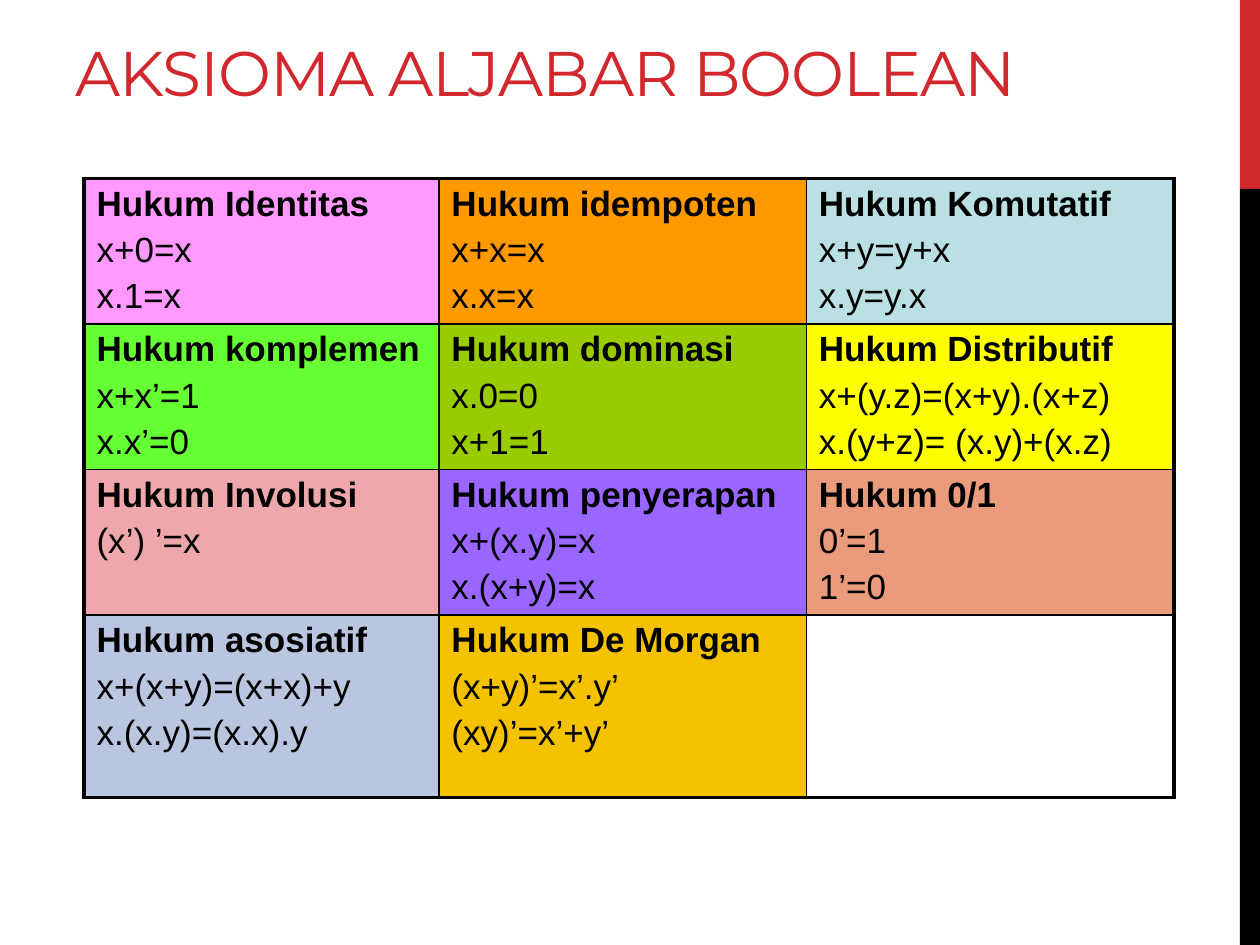
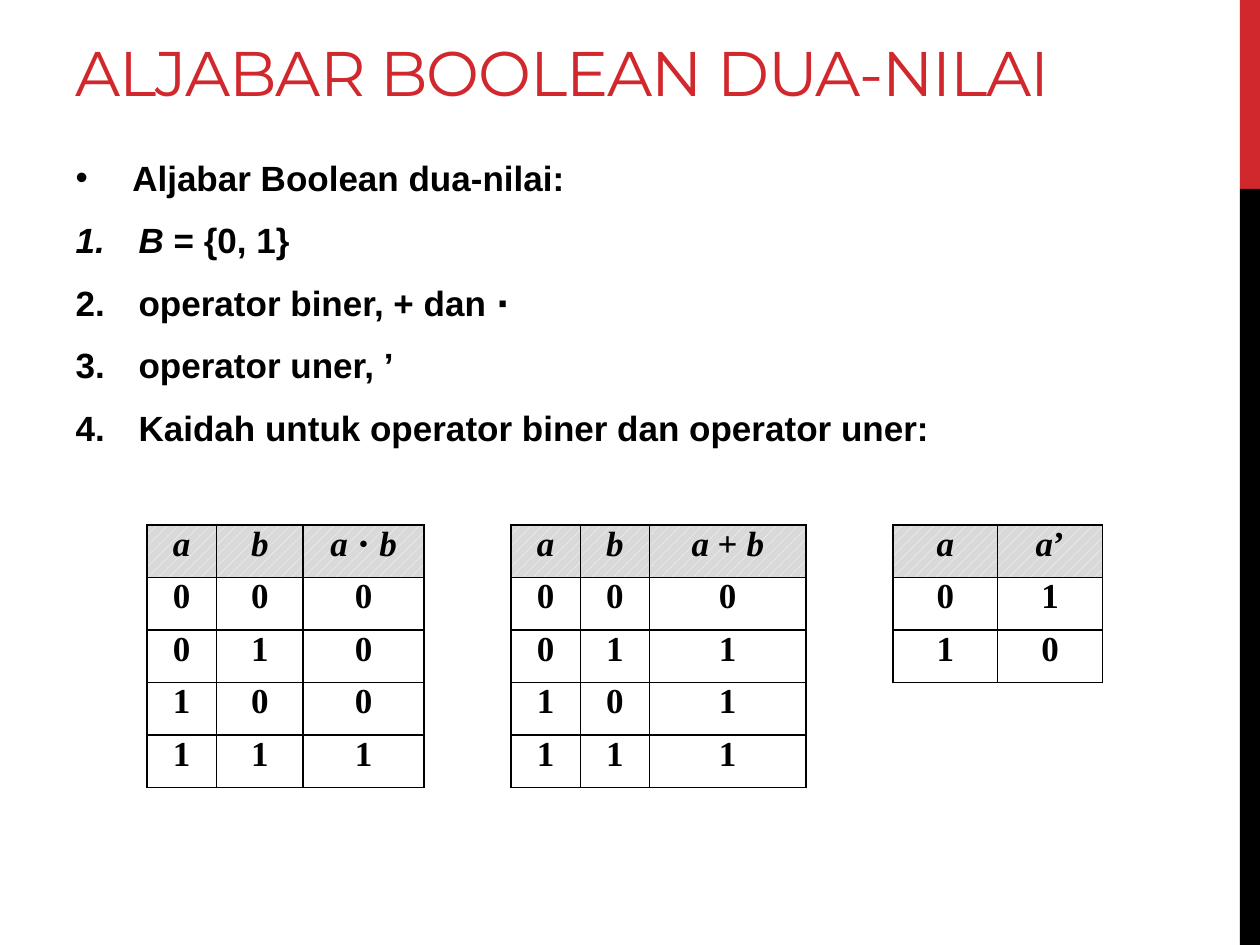
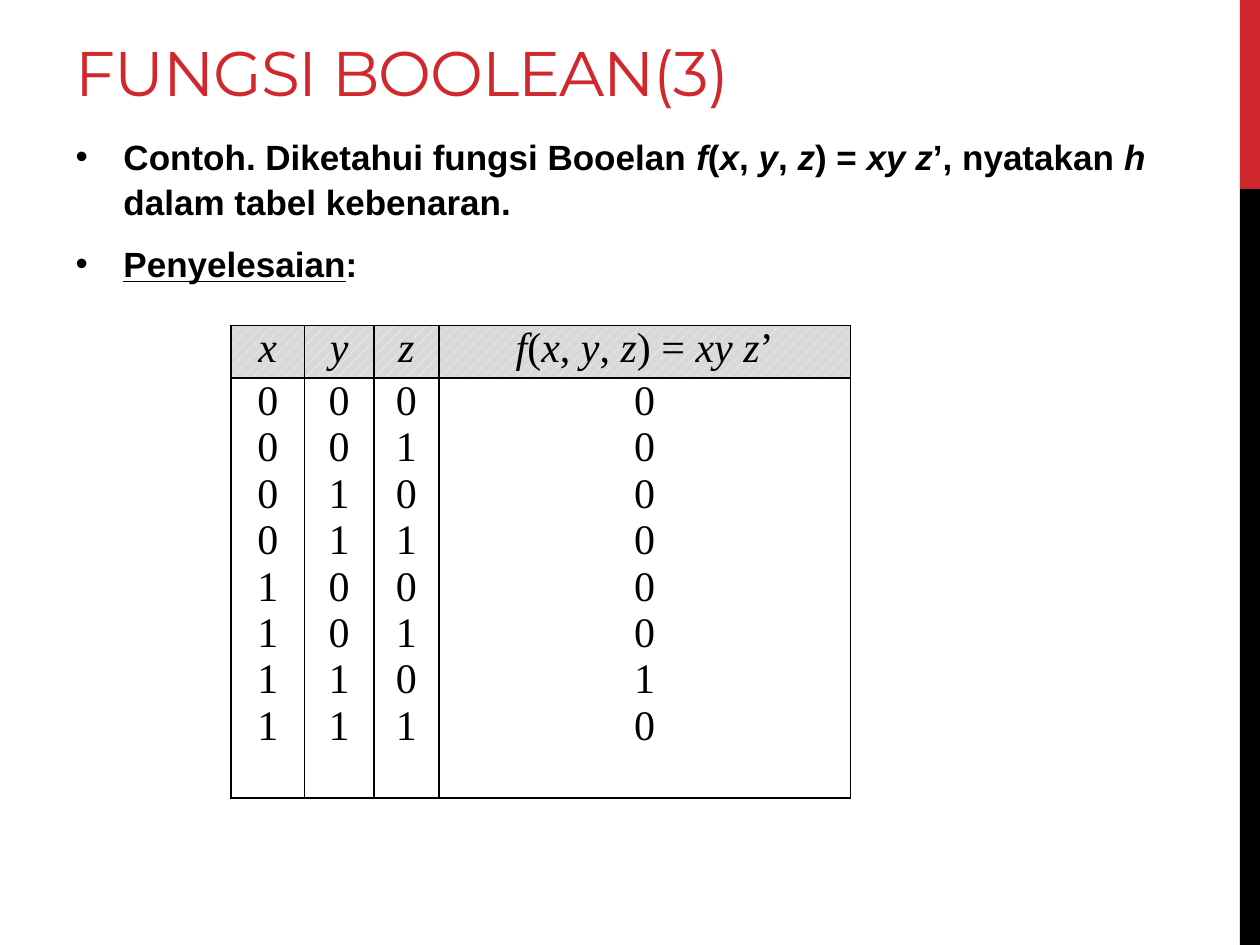
import itertools

import lxml.etree
import pptx
import pptx.dml.color
import pptx.enum.dml
import pptx.enum.shapes
import pptx.enum.text
import pptx.oxml.ns
import pptx.util

RED, BLACK, WHITE, GREY = "D1282E", "000000", "FFFFFF", "D9D9D9"
TITLE_FONT, BODY_FONT, MATH_FONT = "Montserrat", "Arial", "Times New Roman"
TITLE_ONLY, TITLE_AND_BODY = 5, 1
CENTER = pptx.enum.text.PP_ALIGN.CENTER


def color(hex_string):
    return pptx.dml.color.RGBColor.from_string(hex_string)


def grid(units):
    """The slide is 60 columns by 45 rows of square grid units."""
    return pptx.util.Emu(round(units * pptx.util.Inches(10) / 60))


def add_child(parent, tag, **attributes):
    return lxml.etree.SubElement(parent, pptx.oxml.ns.qn(tag), attributes)


class Deck:
    def __init__(self):
        self.presentation = pptx.Presentation()
        self.presentation.slide_width = grid(60)
        self.presentation.slide_height = grid(45)
        self.slide = None

    def new_slide(self, layout, title, title_width):
        first = self.slide is None
        self.slide = self.presentation.slides.add_slide(
            self.presentation.slide_layouts[layout])
        if first:
            self.master_band(0, 9, RED)
            self.master_band(9, 36, BLACK)
        shape = self.slide.shapes.title
        self.place(shape, 3, 1, title_width, 4.5)
        shape.text_frame.vertical_anchor = pptx.enum.text.MSO_ANCHOR.BOTTOM
        paragraph = shape.text_frame.paragraphs[0]
        paragraph.alignment = pptx.enum.text.PP_ALIGN.LEFT
        self.add_runs(paragraph, title, TITLE_FONT, 36, RED)
        for run in paragraph.runs:
            run.font._element.set("spc", "-60")

    def master_band(self, top, height, fill):
        """Draw a band at the right edge and move it to the slide master."""
        shape = self.slide.shapes.add_shape(
            pptx.enum.shapes.MSO_SHAPE.RECTANGLE,
            grid(59.04), grid(top), grid(0.96), grid(height))
        shape.shadow.inherit = False
        shape.fill.solid()
        shape.fill.fore_color.rgb = color(fill)
        shape.line.fill.background()
        self.presentation.slide_master.shapes._spTree.append(shape._element)

    def place(self, shape, left, top, width, height):
        shape.left, shape.top = grid(left), grid(top)
        shape.width, shape.height = grid(width), grid(height)
        shape.text_frame.auto_size = pptx.enum.text.MSO_AUTO_SIZE.NONE
        shape.text_frame.word_wrap = True

    def add_runs(self, paragraph, text, font, size, ink=BLACK, bold=False):
        """Add text run by run: *italic* and _underlined_ parts."""
        for outer, section in enumerate(text.split("_")):
            for inner, piece in enumerate(section.split("*")):
                if not piece:
                    continue
                run = paragraph.add_run()
                run.text = piece
                run.font.name, run.font.size = font, pptx.util.Pt(size)
                run.font.color.rgb = color(ink)
                run.font.bold = bold
                run.font.italic = inner % 2 == 1
                run.font.underline = outer % 2 == 1

    def paragraphs(self, text_frame, texts):
        """Yield a paragraph for each text; the first one already exists."""
        for index, text in enumerate(texts):
            paragraph = text_frame.add_paragraph() if index else text_frame.paragraphs[0]
            yield index, paragraph, text

    def body(self, top, width, height, items):
        """Fill the body with (marker, indent in inches, text) items."""
        shape = self.slide.placeholders[1]
        self.place(shape, 3, top, width, height)
        for index, paragraph, item in self.paragraphs(shape.text_frame, items):
            marker, indent, text = item
            paragraph.line_spacing = 1.07
            paragraph.space_before = pptx.util.Pt(4 if index else 0)
            paragraph.space_after = pptx.util.Pt(6)
            properties = paragraph._p.get_or_add_pPr()
            properties.set("marL", str(pptx.util.Inches(indent)))
            properties.set("indent", str(-pptx.util.Inches(indent)))
            if marker == "•":
                add_child(properties, "a:buFont", typeface=BODY_FONT)
                add_child(properties, "a:buChar", char=marker)
            else:
                add_child(properties, "a:buFont", typeface="+mj-lt")
                add_child(properties, "a:buAutoNum", type=marker)
            self.add_runs(paragraph, text, BODY_FONT, 20, bold=True)

    def table(self, left, top, columns, rows, contents, style_cell, outer=1):
        """Draw a table; a content of None is a gap outside the ruled area."""
        frame = self.slide.shapes.add_table(
            len(rows), len(columns), grid(left), grid(top),
            grid(sum(columns)), grid(sum(rows)))
        table = frame.table
        table.first_row = table.horz_banding = False
        for column, width in zip(table.columns, columns):
            column.width = grid(width)
        for row, height in zip(table.rows, rows):
            row.height = grid(height)
        for row, column in itertools.product(range(len(rows)), range(len(columns))):
            cell = table.cell(row, column)
            self.cell_borders(cell, contents, row, column, outer)
            cell.fill.background()
            if contents[row][column]:
                style_cell(cell, row, contents[row][column])

    def cell_borders(self, cell, contents, row, column, outer):
        """Rule each edge that touches at least one cell with content."""
        properties = cell._tc.get_or_add_tcPr()
        sides = {"a:lnL": (0, -1), "a:lnR": (0, 1), "a:lnT": (-1, 0), "a:lnB": (1, 0)}
        for tag, (down, right) in sides.items():
            next_row, next_column = row + down, column + right
            inside = (0 <= next_row < len(contents)
                      and 0 <= next_column < len(contents[0]))
            neighbour = contents[next_row][next_column] if inside else None
            ruled = contents[row][column] is not None or neighbour is not None
            width = pptx.util.Pt(1 if inside else outer)
            line = add_child(properties, tag, w=str(width))
            if ruled:
                fill = add_child(line, "a:solidFill")
                add_child(fill, "a:srgbClr", val=BLACK)
            else:
                add_child(line, "a:noFill")

    def law_cell(self, cell, row, content):
        fill, *lines = content
        cell.fill.solid()
        cell.fill.fore_color.rgb = color(fill)
        for index, paragraph, text in self.paragraphs(cell.text_frame, lines):
            paragraph.space_before = pptx.util.Pt(4 if index else 0)
            self.add_runs(paragraph, text, BODY_FONT, 20, bold=index == 0)

    def truth_cell(self, size, bold):
        """Return a styler for truth tables whose first row is the heading."""
        def style_cell(cell, row, content):
            cell.margin_left = cell.margin_right = pptx.util.Inches(0.07)
            cell.margin_top = cell.margin_bottom = 0
            if row == 0:
                cell.fill.patterned()
                cell.fill.pattern = pptx.enum.dml.MSO_PATTERN.PERCENT_20
                cell.fill.fore_color.rgb = color(WHITE)
                cell.fill.back_color.rgb = color(GREY)
            lines = content.split("\n")
            for _, paragraph, text in self.paragraphs(cell.text_frame, lines):
                paragraph.alignment = CENTER
                self.add_runs(paragraph, text, MATH_FONT, size, bold=bold)
        return style_cell


def axioms(deck):
    deck.new_slide(TITLE_ONLY, "AKSIOMA ALJABAR BOOLEAN", 51.5)
    laws = [
        [("FF99FF", "Hukum Identitas", "x+0=x", "x.1=x"),
         ("FF9900", "Hukum idempoten", "x+x=x", "x.x=x"),
         ("BBE0E3", "Hukum Komutatif", "x+y=y+x", "x.y=y.x")],
        [("66FF33", "Hukum komplemen", "x+x’=1", "x.x’=0"),
         ("99CC00", "Hukum dominasi", "x.0=0", "x+1=1"),
         ("FFFF00", "Hukum Distributif", "x+(y.z)=(x+y).(x+z)", "x.(y+z)= (x.y)+(x.z)")],
        [("EEA7AA", "Hukum Involusi", "(x’) ’=x"),
         ("9966FF", "Hukum penyerapan", "x+(x.y)=x", "x.(x+y)=x"),
         ("EA9B7C", "Hukum 0/1", "0’=1", "1’=0")],
        [("BAC5DF", "Hukum asosiatif", "x+(x+y)=(x+x)+y", "x.(x.y)=(x.x).y"),
         ("F5C201", "Hukum De Morgan", "(x+y)’=x’.y’", "(xy)’=x’+y’"),
         ""],
    ]
    deck.table(4, 8.5, [16.9, 17.5, 17.5], [6.93, 6.93, 6.93, 8.7], laws,
               deck.law_cell, outer=2.25)


def two_valued_algebra(deck):
    deck.new_slide(TITLE_AND_BODY, "ALJABAR BOOLEAN DUA-NILAI", 54)
    rules = ["*B* = {0, 1}", "operator biner, + dan ⋅", "operator uner, ’",
             "Kaidah untuk operator biner dan operator uner:"]
    deck.body(7, 50, 33.2, [("•", 0.45, "Aljabar Boolean dua-nilai:")]
              + [("arabicPeriod", 0.5, rule) for rule in rules])

    # Truth tables of the three operators, side by side with gaps
    contents = [["*a*", "*b*", "*a* ⋅* b*", None, "*a*", "*b*", "*a* + *b*",
                 None, "*a*", "*a*’"]]
    for a, b in itertools.product((0, 1), repeat=2):
        negation = [str(b), str(1 - b)] if a == 0 else [None, None]
        contents.append([str(a), str(b), str(a & b), None,
                         str(a), str(b), str(a | b), None] + negation)
    deck.table(7, 25, [3.3, 4.14, 5.76, 4.14, 3.3, 3.3, 7.44, 4.14, 5, 5],
               [2.5] * 5, contents, deck.truth_cell(20, bold=True))


def boolean_function(deck):
    deck.new_slide(TITLE_AND_BODY, "FUNGSI BOOLEAN(3)", 38)
    function = "*f*(*x*, *y*, *z*) = *xy z*’"
    deck.body(6, 54, 34.2, [
        ("•", 0.38, f"Contoh. Diketahui fungsi Booelan {function}, nyatakan "
                    "*h *dalam tabel kebenaran."),
        ("•", 0.38, "_Penyelesaian_:"),
    ])

    # Truth table with all the values of a column in one cell
    cases = [(x, y, z, x & y & (1 - z))
             for x, y, z in itertools.product((0, 1), repeat=3)]
    values = ["\n".join(map(str, column)) for column in zip(*cases)]
    deck.table(11, 15.5, [3.5, 3.3, 3.1, 19.6], [2.5, 20],
               [["*x*", "*y*", "*z*", function], values],
               deck.truth_cell(24, bold=False))


def main():
    deck = Deck()
    axioms(deck)
    two_valued_algebra(deck)
    boolean_function(deck)
    deck.presentation.save("out.pptx")


if __name__ == "__main__":
    main()
